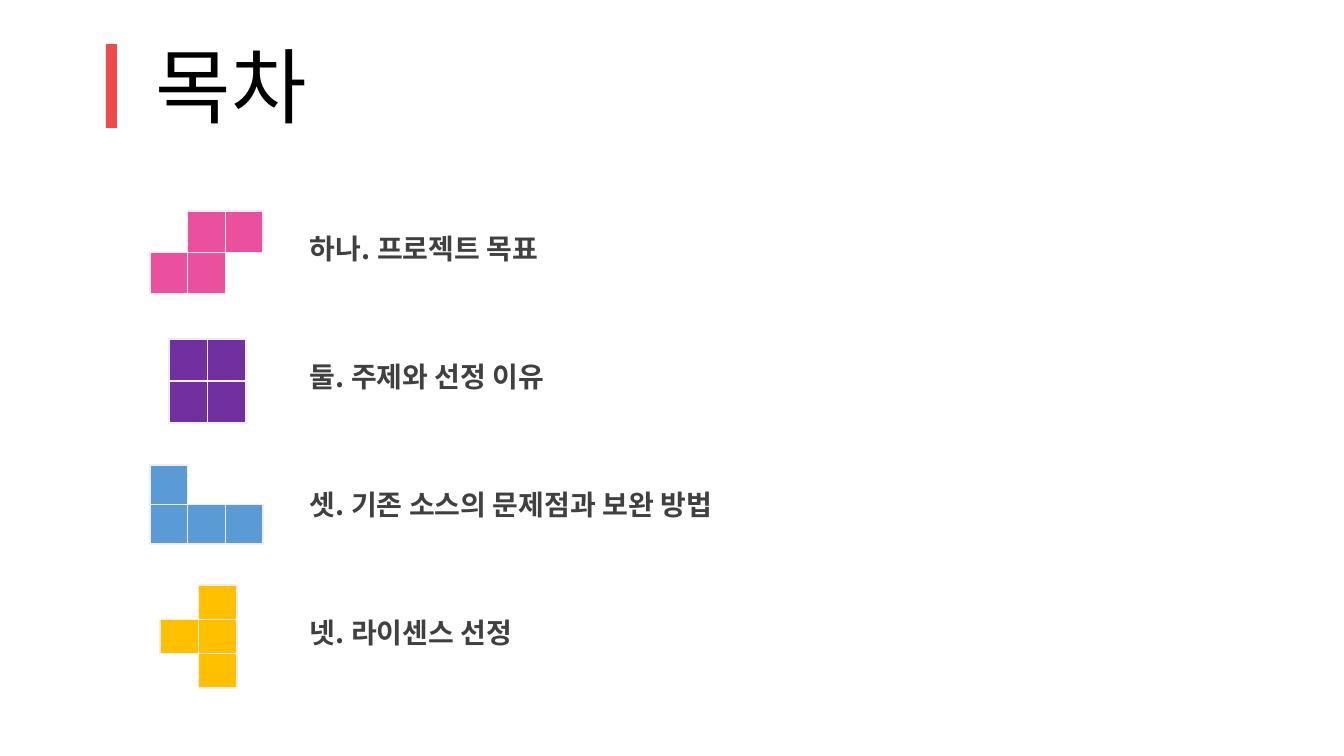
import pptx
import pptx.util
import pptx.dml.color
import pptx.enum.shapes
import pptx.enum.text
import pptx.oxml.ns
import lxml.etree

RGBColor = pptx.dml.color.RGBColor
BLACK = RGBColor(0x00, 0x00, 0x00)
DARK_GRAY = RGBColor(0x40, 0x40, 0x40)
PALE_GRAY = RGBColor(0xEE, 0xEE, 0xEE)
RED = RGBColor(0xF0, 0x4A, 0x4A)
PINK = RGBColor(0xEA, 0x50, 0x9D)
PURPLE = RGBColor(0x70, 0x30, 0xA0)
BLUE = RGBColor(0x5B, 0x9B, 0xD5)
YELLOW = RGBColor(0xFF, 0xC0, 0x00)
FONT = "Noto Sans CJK KR"

# Content: text, block colour, block outline (left, top, width, height), block pattern
TITLE = "목차"
ENTRIES = [
    ("하나. 프로젝트 목표", PINK, (150, 211, 113, 83), (".##", "##.")),
    ("둘. 주제와 선정 이유", PURPLE, (169, 339, 77, 84), ("##", "##")),
    ("셋. 기존 소스의 문제점과 보완 방법", BLUE, (150, 465, 113, 79), ("#..", "###")),
    ("넷. 라이센스 선정", YELLOW, (160, 585, 77, 103), (".#", "##", ".#")),
]
ENTRY_LEFT, ENTRY_TOP, ENTRY_PITCH = 300, 230, 128
ENTRY_WIDTH, ENTRY_HEIGHT = 634, 71

EMU_PER_PX = 914400 / 100.8


def px(length):
    return pptx.util.Emu(round(length * EMU_PER_PX))


def add_text(slide, text, box, *, size, color, bold=False,
             anchor=pptx.enum.text.MSO_ANCHOR.TOP):
    frame = slide.shapes.add_textbox(*map(px, box)).text_frame
    frame.word_wrap = True
    frame.vertical_anchor = anchor
    paragraph = frame.paragraphs[0]
    paragraph.line_spacing = 0.9
    run = paragraph.add_run()
    run.text = text
    font = run.font
    font.name, font.size, font.bold = FONT, pptx.util.Pt(size), bold
    font.color.rgb = color
    east_asian = lxml.etree.SubElement(run._r.get_or_add_rPr(), pptx.oxml.ns.qn("a:ea"))
    east_asian.set("typeface", FONT)


def add_rectangle(shapes, box, fill, line=None):
    shape = shapes.add_shape(pptx.enum.shapes.MSO_SHAPE.RECTANGLE, *map(px, box))
    shape.shadow.inherit = False
    shape.fill.solid()
    shape.fill.fore_color.rgb = fill
    if line is None:
        shape.line.fill.background()
    else:
        shape.line.color.rgb = line
        shape.line.width = pptx.util.Pt(1)


def add_block(slide, outline, pattern, color):
    left, top, width, height = outline
    cell_width, cell_height = width / len(pattern[0]), height / len(pattern)
    group = slide.shapes.add_group_shape()
    for row, marks in enumerate(pattern):
        for column, mark in enumerate(marks):
            if mark == "#":
                cell = (left + column * cell_width, top + row * cell_height,
                        cell_width, cell_height)
                add_rectangle(group.shapes, cell, color, PALE_GRAY)


def main():
    presentation = pptx.Presentation()
    presentation.slide_width, presentation.slide_height = px(1344), px(756)
    slide = presentation.slides.add_slide(presentation.slide_layouts[6])

    # Title with its red bar
    add_text(slide, TITLE, (146, 16, 717, 124), size=58.6, color=BLACK,
             anchor=pptx.enum.text.MSO_ANCHOR.BOTTOM)
    add_rectangle(slide.shapes, (106, 44, 11, 84), RED)

    # Contents list, one block per entry
    for index, (text, color, outline, pattern) in enumerate(ENTRIES):
        top = ENTRY_TOP + index * ENTRY_PITCH
        add_text(slide, text, (ENTRY_LEFT, top, ENTRY_WIDTH, ENTRY_HEIGHT),
                 size=20, color=DARK_GRAY, bold=True)
        add_block(slide, outline, pattern, color)

    presentation.save("out.pptx")


if __name__ == "__main__":
    main()
